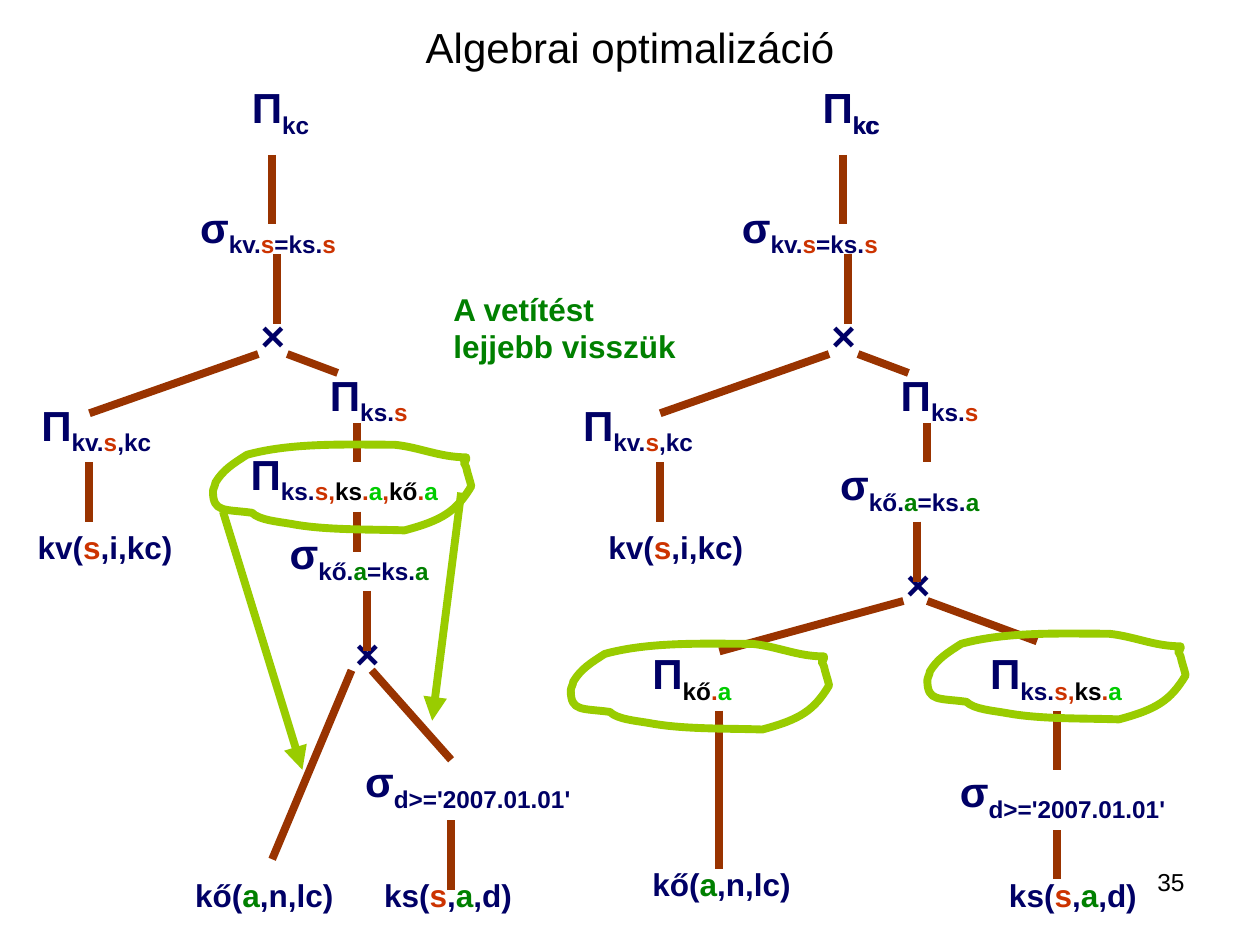
import pptx
import pptx.dml.color
import pptx.enum.shapes
import pptx.enum.text
import pptx.util
from lxml import etree
from pptx.oxml.ns import qn

Inches = pptx.util.Inches
NAVY, RED, GREEN, LIME = "000066", "CC3300", "008000", "00CC00"
BLACK, BROWN, OLIVE = "000000", "993300", "99CC00"
TREE_SHIFT = 4.53
LABEL_SHIFT = 4.3

DATE_FILTER = [("d>='2007.01.01'", NAVY)]
JOIN_KV = [("kv.", NAVY), ("s", RED), ("=ks.", NAVY), ("s", RED)]
JOIN_KO = [("kő.", NAVY), ("a", GREEN), ("=ks.", NAVY), ("a", GREEN)]
KV_COLUMNS = [("kv.", NAVY), ("s", RED), (",kc", NAVY)]
KS_COLUMN = [("ks.", NAVY), ("s", RED)]
KO_COLUMN = [("kő", BLACK), (".", RED), ("a", LIME)]
KS_PAIR = [("ks.", NAVY), ("s,", RED), ("ks", BLACK), (".", RED), ("a", LIME)]
KV_TABLE = [("kv(", NAVY), ("s", RED), (",i,kc)", NAVY)]
KO_TABLE = [("kő(", NAVY), ("a", GREEN), (",n,lc)", NAVY)]
KS_TABLE = [("ks(", NAVY), ("s", RED), (",", NAVY), ("a", GREEN), (",d)", NAVY)]

RING_START = (2.01, 0.14)
RING_CURVES = [
    ((1.8, 0.12), (1.64, 0.04), (1.44, 0.02)),
    ((1.08, 0.02), (0.63, 0), (0.27, 0.1)),
    ((0.16, 0.17), (0.08, 0.22), (0.02, 0.32)),
    ((0.02, 0.34), (0, 0.37), (0, 0.39)),
    ((0, 0.56), (0.09, 0.53), (0.31, 0.56)),
    ((0.37, 0.62), (0.52, 0.63), (0.63, 0.65)),
    ((0.9, 0.7), (1.25, 0.69), (1.52, 0.7)),
    ((1.82, 0.62), (1.93, 0.55), (2.05, 0.35)),
    ((2.04, 0.3), (2.02, 0.25), (2.01, 0.2)),
    ((1.99, 0.15), (1.98, 0.17), (2.01, 0.14)),
]


def colour(value):
    return pptx.dml.color.RGBColor.from_string(value)


def style_font(para, size, bold):
    para.font.name = "Arial"
    para.font.size = pptx.util.Pt(size)
    para.font.bold = bold


def add_spans(para, spans, subscript=False):
    for text, shade in spans:
        span = para.add_run()
        span.text = text
        span.font.color.rgb = colour(shade)
        if subscript:
            span._r.get_or_add_rPr().set("baseline", "-25000")


def add_text(page, left, top, width, height, spans, size=18, bold=True, wrap=True):
    box = page.shapes.add_textbox(Inches(left), Inches(top), Inches(width), Inches(height))
    box.text_frame.word_wrap = wrap
    para = box.text_frame.paragraphs[0]
    style_font(para, size, bold)
    add_spans(para, spans)
    return para


def add_operator(page, left, top, width, symbol, subscript=(), bold=True, wrap=True):
    height = 0.56 if subscript else 0.5
    para = add_text(page, left, top, width, height, [(symbol, NAVY)], 24, bold, wrap)
    add_spans(para, subscript, subscript=True)


def style_line(line, shade):
    line.color.rgb = colour(shade)
    line.width = pptx.util.Pt(4.5)


def add_line(page, start, end, shade=BROWN, arrow=False):
    ends = [Inches(value) for value in (*start, *end)]
    connector = page.shapes.add_connector(pptx.enum.shapes.MSO_CONNECTOR.STRAIGHT, *ends)
    style_line(connector.line, shade)
    if arrow:
        outline = connector._element.spPr.find(qn("a:ln"))
        etree.SubElement(outline, qn("a:tailEnd"), type="triangle")
    etree.SubElement(connector._element.spPr, qn("a:effectLst"))


def add_ring(page, left, top):
    builder = page.shapes.build_freeform(Inches(RING_START[0]), Inches(RING_START[1]))
    builder.add_line_segments([(Inches(x), Inches(y)) for *_, (x, y) in RING_CURVES])
    ring = builder.convert_to_shape(Inches(left), Inches(top))
    ring.left, ring.top = Inches(left), Inches(top)
    segments = list(ring._element.iter(qn("a:lnTo")))
    for segment, points in zip(segments, RING_CURVES):
        curve = etree.Element(qn("a:cubicBezTo"))
        for x, y in points:
            etree.SubElement(curve, qn("a:pt"), x=str(Inches(x)), y=str(Inches(y)))
        segment.getparent().replace(segment, curve)
    ring.shadow.inherit = False
    ring.fill.background()
    style_line(ring.line, OLIVE)


def add_title(page):
    title = page.shapes.title
    title.left, title.top, title.width, title.height = map(Inches, (0.5, 0.3, 9, 0.14))
    frame = title.text_frame
    frame.auto_size = pptx.enum.text.MSO_AUTO_SIZE.NONE
    frame.vertical_anchor = pptx.enum.text.MSO_ANCHOR.MIDDLE
    para = frame.paragraphs[0]
    para.alignment = pptx.enum.text.PP_ALIGN.CENTER
    style_font(para, 24, False)
    add_spans(para, [("Algebrai optimalizáció", BLACK)])


def add_shared_tree(page, shift, label_shift):
    add_operator(page, 1.9 + shift, 0.6, 0.67, "Π", [("kc", NAVY)], wrap=False)
    add_operator(page, 1.49 + label_shift, 1.55, 3.07, "σ", JOIN_KV)
    add_operator(page, 1.97 + shift, 2.41, 0.95, "×")
    add_operator(page, 0.23 + label_shift, 3.12, 1.81, "Π", KV_COLUMNS)
    add_operator(page, 2.52 + shift, 2.88, 2.52, "Π", KS_COLUMN)
    add_text(page, 0.2 + shift, 4.14, 1.5, 0.4, KV_TABLE)
    for x1, y1, x2, y2 in (
        (2.16, 1.23, 2.16, 1.78),
        (2.2, 2.02, 2.2, 2.57),
        (2.05, 2.81, 0.71, 3.28),
        (2.28, 2.81, 2.68, 2.96),
        (0.71, 3.67, 0.71, 4.14),
        (2.83, 3.36, 2.83, 3.67),
    ):
        add_line(page, (x1 + shift, y1), (x2 + shift, y2))


def add_left_branch(page):
    add_operator(page, 1.89, 3.51, 2.52, "Π", KS_PAIR + [(",", RED)] + KO_COLUMN)
    add_operator(page, 2.2, 4.14, 1.81, "σ", JOIN_KO)
    add_operator(page, 2.72, 4.93, 1.02, "×")
    add_operator(page, 2.8, 5.95, 2.2, "σ", DATE_FILTER)
    add_text(page, 1.45, 6.9, 1.34, 0.4, KO_TABLE)
    add_text(page, 2.95, 6.9, 1.34, 0.4, KS_TABLE)
    add_line(page, (2.83, 4.06), (2.83, 4.38))
    add_line(page, (2.91, 4.69), (2.91, 5.17))
    add_line(page, (2.79, 5.32), (2.16, 6.82))
    add_line(page, (2.95, 5.32), (3.58, 6.03))
    add_line(page, (3.58, 6.51), (3.58, 7.06))
    add_ring(page, 1.69, 3.51)
    add_line(page, (1.77, 4.06), (2.4, 6.11), OLIVE, arrow=True)
    add_line(page, (3.66, 3.91), (3.43, 5.72), OLIVE, arrow=True)


def add_right_branch(page):
    add_operator(page, 6.43, 0.6, 0.65, "Π", [("kc", NAVY)], bold=False, wrap=False)
    add_operator(page, 6.57, 3.59, 1.81, "σ", JOIN_KO)
    add_operator(page, 7.09, 4.38, 1.02, "×")
    add_operator(page, 5.08, 5.09, 1.34, "Π", KO_COLUMN)
    add_operator(page, 7.76, 5.09, 1.57, "Π", KS_PAIR)
    add_operator(page, 7.52, 6.03, 2.2, "σ", DATE_FILTER)
    add_text(page, 5.08, 6.82, 1.34, 0.4, KO_TABLE)
    add_text(page, 7.91, 6.9, 1.34, 0.4, KS_TABLE)
    add_line(page, (7.28, 4.14), (7.28, 4.62))
    add_line(page, (7.17, 4.77), (5.71, 5.17))
    add_line(page, (7.36, 4.77), (8.23, 5.09))
    add_line(page, (5.71, 5.64), (5.71, 6.9))
    add_line(page, (8.39, 5.64), (8.39, 6.11))
    add_line(page, (8.39, 6.59), (8.39, 6.98))
    add_ring(page, 7.36, 5.01)
    add_ring(page, 4.53, 5.09)


def main():
    deck = pptx.Presentation()
    deck.slide_width, deck.slide_height = Inches(10), Inches(7.5)
    page = deck.slides.add_slide(deck.slide_layouts[5])
    add_title(page)
    add_text(page, 3.5, 2.25, 2.05, 0.7, [("A vetítést lejjebb visszük", GREEN)])
    add_shared_tree(page, 0, 0)
    add_shared_tree(page, TREE_SHIFT, LABEL_SHIFT)
    add_left_branch(page)
    add_right_branch(page)
    number = add_text(page, 7.17, 6.83, 2.33, 0.52, [("35", BLACK)], 14, False)
    number.alignment = pptx.enum.text.PP_ALIGN.RIGHT
    deck.save("out.pptx")


if __name__ == "__main__":
    main()
